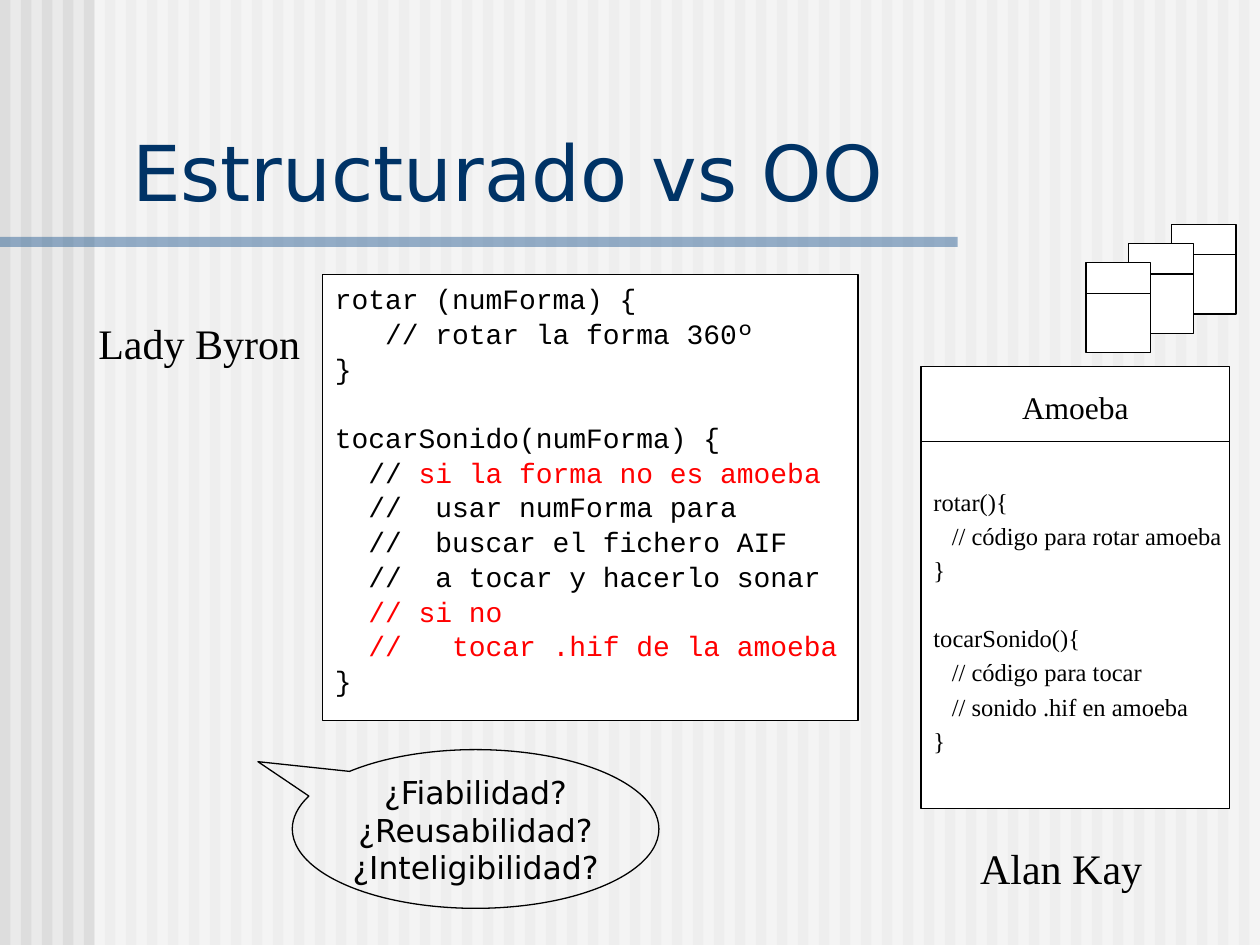
from lxml import etree
from pptx import Presentation
from pptx import util as u
from pptx.dml.color import RGBColor
from pptx.enum import shapes, text
from pptx.oxml import ns

BLACK = RGBColor(0x00, 0x00, 0x00)
WHITE = RGBColor(0xFF, 0xFF, 0xFF)
RED = RGBColor(0xFF, 0x00, 0x00)
NAVY = RGBColor(0x00, 0x33, 0x66)
STEEL = RGBColor(0x33, 0x66, 0x99)
STRIPE = RGBColor(0xDD, 0xDD, 0xDD)
PAPER = RGBColor(0xEA, 0xEA, 0xEA)

WIDTH, HEIGHT = u.Inches(10), u.Inches(7.5)
STRIPES = 60
SANS, SERIF, MONO = "DejaVu Sans", "Times New Roman", "Courier New"
RECT = shapes.MSO_SHAPE.RECTANGLE

STRUCTURED_CODE = [
    [("rotar (numForma) {\n   // rotar la forma 360º", BLACK)],
    [("}", BLACK)],
    [],
    [("tocarSonido(numForma) {\n  // ", BLACK), ("si la forma no es amoeba", RED)],
    [("  //  usar numForma para", BLACK)],
    [("  //  buscar el fichero AIF\n  //  a tocar y hacerlo sonar\n", BLACK),
     ("  // si no\n  //   tocar .hif de la amoeba", RED)],
    [("}", BLACK)],
]
AMOEBA_METHODS = [
    [("rotar(){", BLACK)],
    [("   // código para rotar amoeba\n}", BLACK)],
    [],
    [("tocarSonido(){", BLACK)],
    [("   // código para tocar\n   // sonido .hif en amoeba\n}", BLACK)],
]


def region(left, top, width, height):
    """Turn percentages of the slide into a box."""
    return (int(WIDTH * left / 100), int(HEIGHT * top / 100),
            int(WIDTH * width / 100), int(HEIGHT * height / 100))


def part(box, left, top, width, height):
    """Return the box that covers the given shares of another box."""
    x, y, w, h = box
    return int(x + w * left), int(y + h * top), int(w * width), int(h * height)


def add_panel(slide, box, fill=WHITE, outline=BLACK, opacity=100, kind=RECT):
    """Add a preset shape with plain fill and thin outline."""
    panel = slide.shapes.add_shape(kind, *box)
    panel.shadow.inherit = False
    if fill is None:
        panel.fill.background()
    else:
        panel.fill.solid()
        panel.fill.fore_color.rgb = fill
        if opacity < 100:
            color = panel.fill._xPr.find(".//" + ns.qn("a:srgbClr"))
            etree.SubElement(color, ns.qn("a:alpha"), val=str(opacity * 1000))
    if outline is None:
        panel.line.fill.background()
    else:
        panel.line.color.rgb = outline
        panel.line.width = u.Pt(0.75)
    return panel


def write(holder, paragraphs, font, size, align=text.PP_ALIGN.LEFT,
          anchor=text.MSO_ANCHOR.TOP, leading=None, wrap=True):
    """Write paragraphs run by run; an empty one opens a gap of one line."""
    frame = holder.text_frame
    frame.word_wrap = wrap
    frame.vertical_anchor = anchor
    paragraph, gap = frame.paragraphs[0], False
    for index, runs in enumerate(paragraphs):
        if not runs:
            gap = True
            continue
        if index:
            paragraph = frame.add_paragraph()
        paragraph.alignment = align
        if leading:
            paragraph.line_spacing = u.Pt(leading)
        if gap:
            paragraph.space_before = u.Pt(leading)
        gap = False
        for words, color in runs:
            for number, line in enumerate(words.split("\n")):
                if number:
                    paragraph.add_line_break()
                if line:
                    run = paragraph.add_run()
                    run.text = line
                    run.font.name = font
                    run.font.size = u.Pt(size)
                    run.font.color.rgb = color
    return frame


def backdrop(slide, box):
    """Draw the striped paper with its pale veil."""
    slide.background.fill.solid()
    slide.background.fill.fore_color.rgb = PAPER
    for column in range(STRIPES):
        stripe = part(box, column / STRIPES, 0, 0.5 / STRIPES, 1)
        add_panel(slide, stripe, STRIPE, None)
    add_panel(slide, part(box, 0.075, 0, 0.925, 1), WHITE, None, 50)


def heading(slide, title_box, rule_box):
    """Place the title and the rule under it."""
    add_panel(slide, rule_box, STEEL, None, 50)
    title = slide.shapes.add_textbox(*title_box)
    write(title, [[("Estructurado vs OO", NAVY)]], SANS, 44,
          anchor=text.MSO_ANCHOR.BOTTOM)


def author(slide, box, name, align):
    """Place the name of an author."""
    label = slide.shapes.add_textbox(*box)
    write(label, [[(name, BLACK)]], SERIF, 24, align, leading=33.4)


def structured_listing(slide, box):
    """Place the structured code listing."""
    write(add_panel(slide, box), STRUCTURED_CODE, MONO, 16, leading=19.8)


def amoeba_class(slide, box):
    """Place the class box: its name above its methods."""
    name = add_panel(slide, part(box, 0, 0, 1, 0.17))
    write(name, [[("Amoeba", BLACK)]], SERIF, 18, text.PP_ALIGN.CENTER,
          text.MSO_ANCHOR.MIDDLE, 25, False)
    methods = add_panel(slide, part(box, 0, 0.17, 1, 0.83))
    frame = write(methods, AMOEBA_METHODS, SERIF, 14, leading=19.5, wrap=False)
    frame.margin_top = u.Inches(0.32)


def questions(slide, box):
    """Place the balloon with the quality questions."""
    balloon = add_panel(slide, box, None, kind=shapes.MSO_SHAPE.OVAL_CALLOUT)
    balloon.adjustments[0] = -0.594
    balloon.adjustments[1] = -0.424
    frame = write(balloon, [[("¿Fiabilidad? ¿Reusabilidad? ¿Inteligibilidad?", BLACK)]],
                  SANS, 18, text.PP_ALIGN.CENTER)
    frame.margin_left = frame.margin_right = 0
    frame.margin_top = frame.margin_bottom = 0


def class_stack(slide, box):
    """Stack three small class boxes from back to front."""
    for step in range(3):
        card = part(box, 0.57 - 0.285 * step, 0.15 * step, 0.43, 0.7)
        add_panel(slide, part(card, 0, 0.23, 1, 0.77))
        add_panel(slide, part(card, 0, 0, 1, 0.34))


def main():
    """Build and save the slide."""
    deck = Presentation()
    deck.slide_width, deck.slide_height = WIDTH, HEIGHT
    slide = deck.slides.add_slide(deck.slide_layouts[6])
    backdrop(slide, region(0, 0, 100, 100))
    heading(slide, region(9.5, 12.53, 89.3, 11.07), region(0, 25.07, 76, 1.07))
    author(slide, region(5.9, 32.13, 18.9, 7.47), "Lady Byron", text.PP_ALIGN.RIGHT)
    structured_listing(slide, region(25.6, 29.07, 42.5, 47.2))
    author(slide, region(76.8, 87.6, 18.5, 7.47), "Alan Kay", text.PP_ALIGN.LEFT)
    amoeba_class(slide, region(73.1, 38.8, 24.5, 46.8))
    questions(slide, region(23.2, 79.33, 29.1, 16.8))
    class_stack(slide, region(86.2, 23.73, 11.9, 13.6))
    deck.save("out.pptx")


if __name__ == "__main__":
    main()
